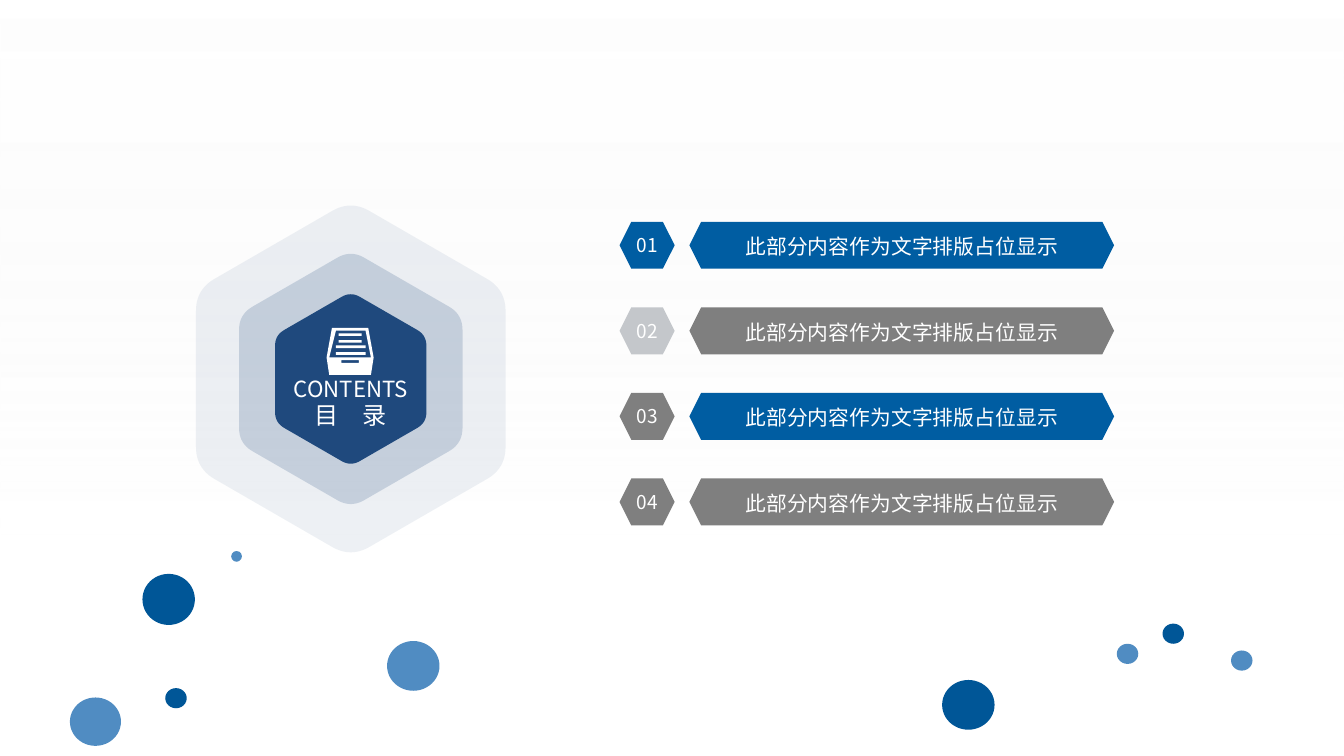
from math import cos, pi, sin

from lxml import etree
from pptx import Presentation
from pptx.dml.color import RGBColor
from pptx.enum.shapes import MSO_SHAPE
from pptx.enum.text import MSO_ANCHOR, PP_ALIGN
from pptx.oxml.ns import qn
from pptx.util import Inches, Pt

RECTANGLE, HEXAGON, ELLIPSE = MSO_SHAPE.RECTANGLE, MSO_SHAPE.HEXAGON, MSO_SHAPE.OVAL
MIDDLE, CENTER = MSO_ANCHOR.MIDDLE, PP_ALIGN.CENTER

FONT = "Noto Sans CJK SC"
WHITE = RGBColor(0xFF, 0xFF, 0xFF)
PALE = RGBColor(0xF2, 0xF2, 0xF2)
BLUE = RGBColor(0x00, 0x5D, 0xA2)
GRAY = RGBColor(0x7F, 0x7F, 0x7F)
LIGHT_GRAY = RGBColor(0xC4, 0xC7, 0xCB)
NAVY = RGBColor(0x1F, 0x49, 0x7D)
DARK_DOT = RGBColor(0x00, 0x56, 0x97)
LIGHT_DOT = RGBColor(0x50, 0x8C, 0xC2)


def paint(shape, color, opacity=100):
    shape.shadow.inherit = False
    shape.line.fill.background()
    shape.fill.solid()
    shape.fill.fore_color.rgb = color
    if opacity < 100:
        element = next(shape.fill._xPr.iter(qn("a:srgbClr")))
        etree.SubElement(element, qn("a:alpha")).set("val", str(opacity * 1000))


def write(shape, text, size, wrap=True, spacing=None):
    frame = shape.text_frame
    frame.word_wrap = wrap
    frame.vertical_anchor = MIDDLE
    paragraph = frame.paragraphs[0]
    paragraph.alignment = CENTER
    paragraph.line_spacing = spacing
    run = paragraph.add_run()
    run.text = text
    run.font.size = Pt(size)
    run.font.color.rgb = WHITE
    run.font.name = FONT
    etree.SubElement(run.font._element, qn("a:ea")).set("typeface", FONT)


# Widescreen slide, 16 to 9
presentation = Presentation()
presentation.slide_width = Inches(10)
presentation.slide_height = Inches(10 * 9 / 16)
slide = presentation.slides.add_slide(presentation.slide_layouts[6])

# Background fading from half-opaque white to clear gray
background = slide.shapes.add_shape(
    RECTANGLE, 0, 0, presentation.slide_width, presentation.slide_height)
background.shadow.inherit = False
background.line.fill.background()
background.fill.gradient()
background.fill.gradient_angle = 270
stops = background.fill.gradient_stops
for stop, position, color in zip(stops, (0, 0.71), (WHITE, PALE)):
    stop.position = position
    stop.color.rgb = color
for element, opacity in zip(background.fill._xPr.iter(qn("a:srgbClr")), (55, 0)):
    etree.SubElement(element, qn("a:alpha")).set("val", str(opacity * 1000))

# Contents list: number and title in each row
row_pitch = (3.56 - 1.65) / 3
row_colors = [(BLUE, BLUE), (LIGHT_GRAY, GRAY), (GRAY, BLUE), (GRAY, GRAY)]
for index, (number_color, title_color) in enumerate(row_colors):
    top = Inches(1.65 + index * row_pitch)
    row = slide.shapes.add_group_shape()
    number = row.shapes.add_shape(HEXAGON, Inches(4.61), top, Inches(0.41), Inches(0.35))
    paint(number, number_color)
    write(number, f"{index + 1:02d}", 10.2, wrap=False)
    title = row.shapes.add_shape(HEXAGON, Inches(5.13), top, Inches(3.16), Inches(0.35))
    paint(title, title_color)
    write(title, "此部分内容作为文字排版占位显示", 11.1, spacing=1.1)

# Nested regular hexagons, each corner rounded by a quadratic curve
center_x, center_y = 2.61, 2.82
corner_share = 0.12
curve_steps = 12
for radius, opacity in [(1.33, 8), (0.96, 19), (0.65, 100)]:
    corners = [(center_x + radius * sin(k * pi / 3), center_y - radius * cos(k * pi / 3))
               for k in range(6)]
    outline = []
    for k, (x, y) in enumerate(corners):
        before, after = corners[k - 1], corners[(k + 1) % 6]
        for step in range(curve_steps + 1):
            t = step / curve_steps
            pull_before = corner_share * (1 - t) ** 2
            pull_after = corner_share * t ** 2
            outline.append((
                Inches(x + pull_before * (before[0] - x) + pull_after * (after[0] - x)),
                Inches(y + pull_before * (before[1] - y) + pull_after * (after[1] - y))))
    builder = slide.shapes.build_freeform(*outline[0])
    builder.add_line_segments(outline[1:])
    paint(builder.convert_to_shape(), NAVY, opacity)

# File tray icon: body with the opening, paper lines and handle cut in turn
body = [(2.47, 2.44), (2.74, 2.44), (2.78, 2.66), (2.76, 2.79), (2.45, 2.79), (2.43, 2.66)]
opening = [(2.5, 2.46), (2.45, 2.66), (2.76, 2.66), (2.72, 2.46)]
bars = [(2.52, 2.48, 2.69), (2.52, 2.53, 2.69), (2.5, 2.57, 2.72),
        (2.5, 2.62, 2.72), (2.54, 2.68, 2.67)]
contours = [body, opening]
for left, top, right in bars:
    bottom = top + 0.02
    contours.append([(left, top), (right, top), (right, bottom), (left, bottom)])
builder = slide.shapes.build_freeform(Inches(body[0][0]), Inches(body[0][1]))
for contour in contours:
    points = [(Inches(x), Inches(y)) for x, y in contour]
    if contour is not body:
        builder.move_to(*points[0])
    builder.add_line_segments(points[1:])
paint(builder.convert_to_shape(), WHITE)

# Heading in the inner hexagon
for text, top, size in [("CONTENTS", 2.79, 11.9), ("目　录", 2.99, 12.9)]:
    heading = slide.shapes.add_textbox(Inches(2.13), Inches(top), Inches(0.96), Inches(0.2))
    frame = heading.text_frame
    frame.margin_left = frame.margin_right = frame.margin_top = frame.margin_bottom = 0
    write(heading, text, size)

# Scattered dots
dots = [
    (1.06, 4.27, 0.39, 0.38, DARK_DOT),
    (7.01, 5.06, 0.39, 0.37, DARK_DOT),
    (8.31, 4.79, 0.16, 0.15, LIGHT_DOT),
    (8.65, 4.64, 0.16, 0.15, DARK_DOT),
    (9.16, 4.84, 0.16, 0.15, LIGHT_DOT),
    (2.88, 4.77, 0.39, 0.37, LIGHT_DOT),
    (1.72, 4.1, 0.08, 0.08, LIGHT_DOT),
    (1.23, 5.12, 0.16, 0.15, DARK_DOT),
    (0.52, 5.19, 0.38, 0.36, LIGHT_DOT),
]
for *box, color in dots:
    dot = slide.shapes.add_shape(ELLIPSE, *[Inches(length) for length in box])
    paint(dot, color)

presentation.save("out.pptx")
